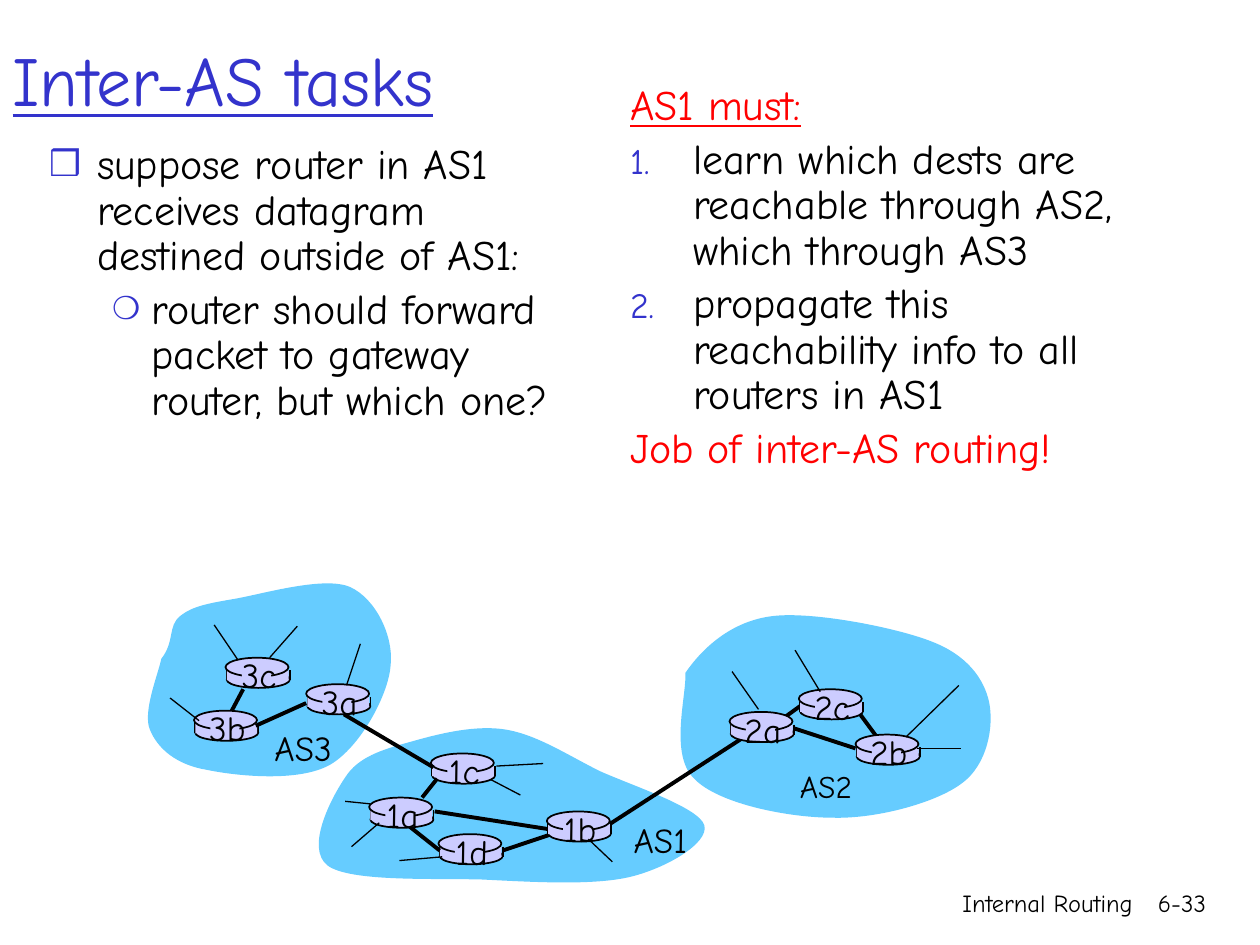
from lxml.etree import SubElement
from pptx import Presentation
from pptx.dml.color import RGBColor
from pptx.enum.shapes import MSO_CONNECTOR, MSO_SHAPE
from pptx.enum.text import MSO_ANCHOR, MSO_AUTO_SIZE, PP_ALIGN
from pptx.oxml.ns import qn
from pptx.util import Pt

SCALE = 9144  # EMU per px, 100 px to the inch
FONT = "Comic Neue"
BLACK = RGBColor(0x00, 0x00, 0x00)
BLUE = RGBColor(0x33, 0x33, 0xCC)
RED = RGBColor(0xFF, 0x00, 0x00)
SKY = RGBColor(0x66, 0xCC, 0xFF)
LILAC = RGBColor(0xCC, 0xCC, 0xFF)

# Clouds: start point, then cubic curves (two handles and an end)
CLOUDS = [
    [(544, 534), (557, 515), (580, 493), (613, 489), (645, 485), (711, 498),
     (739, 509), (768, 520), (781, 539), (785, 557), (789, 576), (784, 607),
     (763, 622), (743, 637), (696, 650), (661, 649), (626, 649), (570, 638),
     (551, 618), (531, 599), (545, 552), (544, 534)],
    [(128, 523), (139, 509), (133, 497), (143, 489), (153, 481), (165, 479),
     (188, 475), (210, 471), (258, 457), (278, 466), (298, 475), (313, 505),
     (310, 529), (308, 552), (286, 593), (262, 607), (237, 621), (188, 616),
     (164, 611), (140, 607), (125, 594), (119, 579), (113, 565), (126, 534),
     (128, 523)],
    [(274, 617), (284, 601), (303, 595), (325, 589), (346, 583), (376, 575),
     (401, 579), (426, 583), (450, 599), (476, 612), (503, 624), (555, 641),
     (559, 655), (563, 669), (529, 689), (500, 696), (470, 703), (422, 700),
     (382, 698), (342, 697), (278, 700), (260, 687), (242, 673), (263, 633),
     (274, 617)],
]

# Routers: name and top left corner; the links lie between the two layers
BACK = [("3b", 154, 564), ("1d", 348, 662), ("3a", 243, 543), ("1c", 342, 598)]
FRONT = [("2a", 579, 565), ("1a", 293, 633), ("2c", 634, 547),
         ("2b", 679, 583), ("1b", 434, 644), ("3c", 179, 522)]

LINKS = [(630, 578, 679, 594), (682, 566, 696, 585), (619, 572, 637, 559),
         (399, 675, 441, 661), (325, 656, 349, 675), (345, 644, 435, 658),
         (335, 633, 347, 618), (203, 576, 243, 558), (273, 567, 344, 609),
         (484, 654, 589, 586), (193, 547, 184, 564)]
STUBS = [(135, 554, 158, 572), (236, 497, 214, 522), (170, 496, 189, 524),
         (286, 511, 275, 544), (728, 594, 763, 594), (719, 585, 761, 544),
         (651, 549, 631, 516), (602, 563, 581, 533), (301, 653, 279, 672),
         (294, 638, 274, 636), (351, 680, 317, 683), (394, 608, 431, 606),
         (467, 666, 486, 684), (390, 619, 413, 631)]

AREAS = [("AS3", 208, 572, 77, 43, 20), ("AS1", 493, 645, 72, 43, 20),
         ("AS2", 625, 604, 71, 40, 18)]

# Bullet lists: text, colour, underline, bullet, margin, hang
LEFT = [
    ("suppose router in AS1 receives datagram destined outside of AS1:",
     BLACK, False, ("❒", 85), 38, 38),
    ("router should forward packet to gateway router, but which one?",
     BLACK, False, ("❍", 75), 81, 31),
]
RIGHT = [
    ("AS1 must:", RED, True, None, 50, 50),
    ("learn which dests are reachable through AS2, which through AS3",
     BLACK, False, ("1.", 85), 50, 50),
    ("propagate this reachability info to all routers in AS1",
     BLACK, False, ("1.", 85), 50, 50),
    ("Job of inter-AS routing!", RED, False, None, 50, 50),
]


def px(*nums):
    return [n * SCALE for n in nums]


def place(shape, *box):
    shape.left, shape.top, shape.width, shape.height = px(*box)


def add_run(para, text, size, color=BLACK, under=False):
    run = para.add_run()
    run.text = text
    font = run.font
    font.name, font.size, font.underline = FONT, Pt(size), under
    font.color.rgb = color


def add_label(shapes, text, box, size, align=PP_ALIGN.LEFT, wrap=False):
    frame = shapes.add_textbox(*px(*box)).text_frame
    frame.word_wrap = wrap
    if not wrap:
        frame.auto_size = MSO_AUTO_SIZE.SHAPE_TO_FIT_TEXT
    para = frame.paragraphs[0]
    para.alignment = align
    add_run(para, text, size)


def add_line(shapes, ends, width):
    line = shapes.add_connector(MSO_CONNECTOR.STRAIGHT, *px(*ends))
    line.line.color.rgb = BLACK
    line.line.width = Pt(width)
    SubElement(line._element.spPr, qn("a:effectLst"))


def paint(shape, fill, edge=False):
    shape.shadow.inherit = False
    shape.fill.solid()
    shape.fill.fore_color.rgb = fill
    if edge:
        shape.line.color.rgb = BLACK
        shape.line.width = Pt(1)
    else:
        shape.line.fill.background()


def add_cloud(shapes, points):
    form = shapes.build_freeform(*points[0], scale=SCALE)
    form.add_line_segments(points[1:], close=True)
    cloud = form.convert_to_shape()
    # Join each three points into one curve
    steps = list(cloud._element.iter(qn("a:lnTo")))
    for i in range(0, len(steps), 3):
        curve = steps[i].makeelement(qn("a:cubicBezTo"))
        steps[i].addprevious(curve)
        for step in steps[i:i + 3]:
            curve.append(step[0])
            step.getparent().remove(step)
    paint(cloud, SKY)


def add_router(shapes, name, x, y):
    def add_part(kind, dx, dy, w, h, edge=False):
        paint(shapes.add_shape(kind, *px(x + dx, y + dy, w, h)), LILAC, edge)

    add_part(MSO_SHAPE.OVAL, 1, 11, 50, 13, True)
    for side in (x + 1, x + 51):
        add_line(shapes, (side, y + 10, side, y + 18), 1)
    add_part(MSO_SHAPE.RECTANGLE, 1, 10, 49, 8)
    add_part(MSO_SHAPE.OVAL, 0, 0, 50, 15, True)
    add_part(MSO_SHAPE.RECTANGLE, 13, 2, 23, 19)
    add_label(shapes, name, (x, y - 8, 53, 43), 20, PP_ALIGN.CENTER)


def set_bullet(para, bullet, margin, hang):
    props = para._p.get_or_add_pPr()
    props.set("marL", str(margin * SCALE))
    props.set("indent", str(-hang * SCALE))
    if bullet is None:
        SubElement(props, qn("a:buNone"))
        return
    mark, size = bullet
    color = SubElement(props, qn("a:buClr"))
    SubElement(color, qn("a:srgbClr"), val=str(BLUE))
    SubElement(props, qn("a:buSzPct"), val=str(size * 1000))
    if mark == "1.":
        SubElement(props, qn("a:buFont"), typeface=FONT)
        SubElement(props, qn("a:buAutoNum"), type="arabicPeriod")
    else:
        SubElement(props, qn("a:buChar"), char=mark)


def fill_list(holder, box, items):
    place(holder, *box)
    frame = holder.text_frame
    frame.auto_size = MSO_AUTO_SIZE.NONE
    for i, (text, color, under, bullet, margin, hang) in enumerate(items):
        para = frame.add_paragraph() if i else frame.paragraphs[0]
        para.level = 1 if margin > 50 else 0
        para.line_spacing = 0.9
        para.space_before = Pt(4.8 if i else 0)
        set_bullet(para, bullet, margin, hang)
        add_run(para, text, 24, color, under)


def fill_title(holder):
    place(holder, 0, 0, 850, 125)
    frame = holder.text_frame
    frame.auto_size = MSO_AUTO_SIZE.NONE
    frame.vertical_anchor = MSO_ANCHOR.MIDDLE
    para = frame.paragraphs[0]
    para.alignment = PP_ALIGN.LEFT
    add_run(para, "Inter-AS tasks", 40, BLUE, True)


def add_network(shapes):
    for cloud in CLOUDS:
        add_cloud(shapes, cloud)
    for router in BACK:
        add_router(shapes, *router)
    for link in LINKS:
        add_line(shapes, link, 2.25)
    for name, *box, size in AREAS:
        add_label(shapes, name, box, size)
    for router in FRONT:
        add_router(shapes, *router)
    for stub in STUBS:
        add_line(shapes, stub, 0.75)


def main():
    deck = Presentation()
    deck.slide_width, deck.slide_height = px(1000, 750)
    slide = deck.slides.add_slide(deck.slide_layouts[3])
    shapes = slide.shapes

    # Title and lists
    title, left, right = slide.placeholders
    fill_title(title)
    fill_list(left, (29, 109, 417, 319), LEFT)
    fill_list(right, (490, 62, 417, 508), RIGHT)

    # Network in one group
    add_network(shapes.add_group_shape().shapes)

    # Footer
    for text, box in (("Internal Routing", (592, 700, 317, 50)),
                      ("6-33", (893, 700, 74, 50))):
        add_label(shapes, text, box, 14, PP_ALIGN.RIGHT, True)
    deck.save("out.pptx")


if __name__ == "__main__":
    main()
